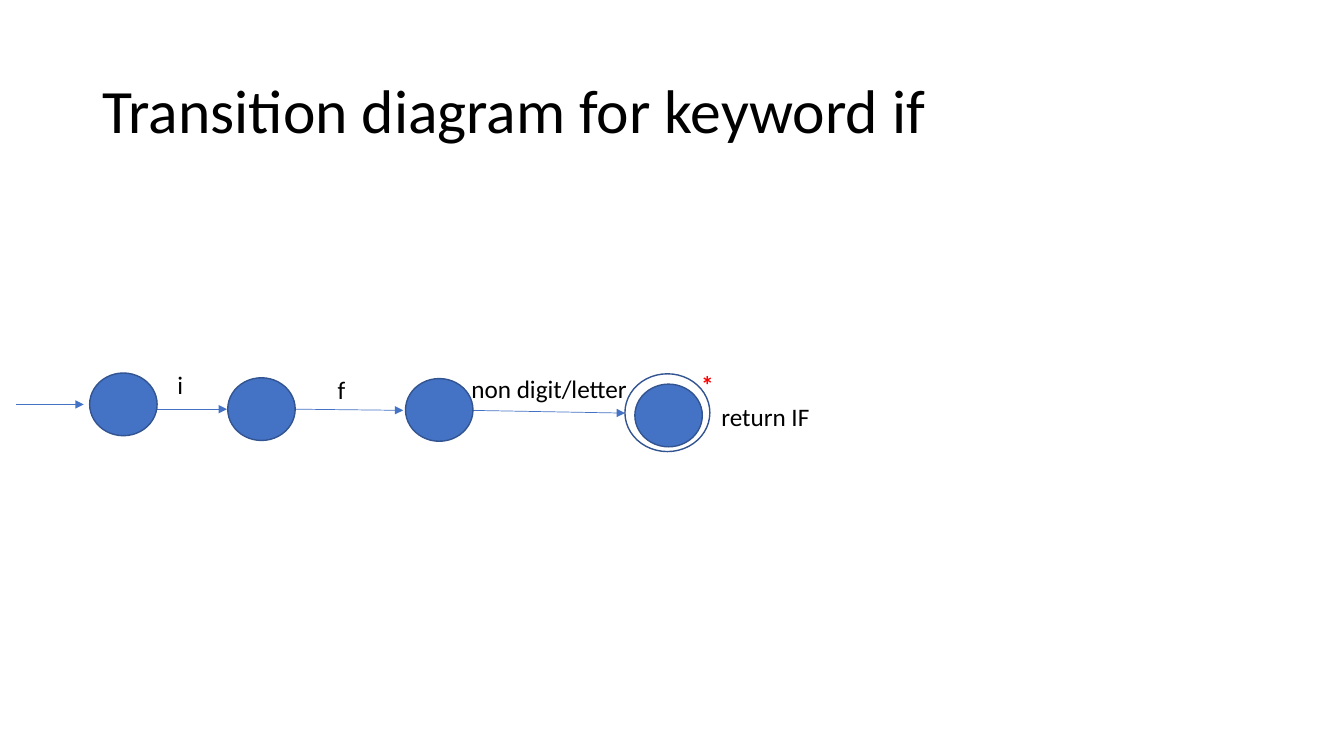
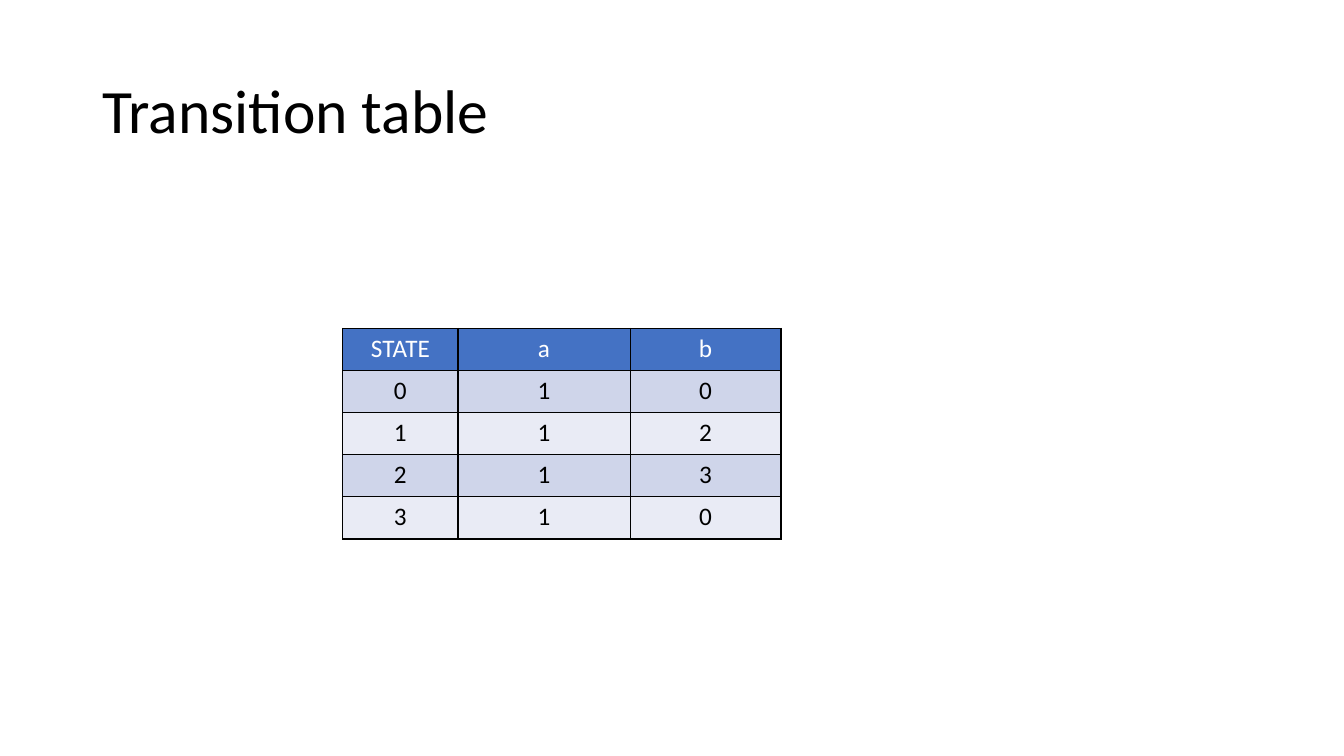
import pptx
import pptx.util
import pptx.dml.color
import pptx.enum.shapes
import pptx.enum.text
import pptx.oxml.ns
import lxml.etree

Cm = pptx.util.Cm
Pt = pptx.util.Pt
RGBColor = pptx.dml.color.RGBColor
qn = pptx.oxml.ns.qn

BLACK = RGBColor(0x00, 0x00, 0x00)
WHITE = RGBColor(0xFF, 0xFF, 0xFF)
RED = RGBColor(0xFF, 0x00, 0x00)
BLUE = RGBColor(0x44, 0x72, 0xC4)
OUTLINE = RGBColor(0x32, 0x54, 0x91)
BAND_DARK = RGBColor(0xCF, 0xD5, 0xEA)
BAND_LIGHT = RGBColor(0xE9, 0xEB, 0xF5)

BODY = {"name": "Calibri", "size": Pt(18), "bold": False}
TITLE = {**BODY, "size": Pt(44)}


def write(para, text, style, color):
    span = para.add_run()
    span.text = text
    for key, value in style.items():
        setattr(span.font, key, value)
    span.font.color.rgb = color


def add_text(page, place, text, style, color=BLACK):
    box = page.shapes.add_textbox(*(Cm(length) for length in place))
    box.text_frame.word_wrap = True
    write(box.text_frame.paragraphs[0], text, style, color)
    return box


deck = pptx.Presentation()
deck.slide_width, deck.slide_height = Cm(33.87), Cm(19.05)

# Pages with their shared title
pages = []
for title in ("Transition diagram for keyword if", "Transition table"):
    page = deck.slides.add_slide(deck.slide_layouts[6])
    box = add_text(page, (2.33, 1.01, 29.21, 3.68), title, TITLE)
    box.text_frame.vertical_anchor = pptx.enum.text.MSO_ANCHOR.MIDDLE
    box.text_frame.paragraphs[0].line_spacing = 0.9
    pages.append(page)
diagram_page, table_page = pages

# Transitions: from x, y to x, y
for ends in (
    (0.41, 10.19, 2.11, 10.19),
    (3.63, 10.31, 5.72, 10.31),
    (7.39, 10.31, 10.16, 10.34),
    (11.84, 10.34, 15.75, 10.41),
):
    arrow = diagram_page.shapes.add_connector(
        pptx.enum.shapes.MSO_CONNECTOR.STRAIGHT, *(Cm(length) for length in ends))
    arrow.line.color.rgb = BLUE
    arrow.line.width = Pt(0.5)
    lxml.etree.SubElement(arrow.line._get_or_add_ln(), qn("a:tailEnd"), type="triangle")
    lxml.etree.SubElement(arrow._element.spPr, qn("a:effectLst"))

# States, then the ring around the accepting one
STATE_SIZE = (1.7, 1.58)
for left, top, size, filled in (
    (2.26, 9.4, STATE_SIZE, True),
    (5.74, 9.52, STATE_SIZE, True),
    (10.22, 9.54, STATE_SIZE, True),
    (16.0, 9.68, STATE_SIZE, True),
    (15.75, 9.42, (2.14, 1.96), False),
):
    state = diagram_page.shapes.add_shape(
        pptx.enum.shapes.MSO_SHAPE.OVAL, Cm(left), Cm(top), *(Cm(length) for length in size))
    state.shadow.inherit = False
    if filled:
        state.fill.solid()
        state.fill.fore_color.rgb = BLUE
    else:
        state.fill.background()
    state.line.color.rgb = OUTLINE
    state.line.width = Pt(1)

# Labels
for left, top, width, text, style, color in (
    (4.22, 9.17, 4.01, "i", BODY, BLACK),
    (8.26, 9.3, 4.01, "f", BODY, BLACK),
    (11.63, 9.27, 5.03, "non digit/letter", BODY, BLACK),
    (17.42, 9.17, 4.01, "*", {**BODY, "bold": True}, RED),
    (17.93, 9.98, 4.47, "return IF", BODY, BLACK),
):
    add_text(diagram_page, (left, top, width, 1.02), text, style, color)

# Transition table
ROWS = (("STATE", "a", "b"), "010", "112", "213", "310")
WIDTHS = (2.9, 4.34, 3.8)
ROW_HEIGHT = 1.06
table = table_page.shapes.add_table(
    len(ROWS), len(WIDTHS), Cm(8.64), Cm(8.28),
    Cm(sum(WIDTHS)), Cm(ROW_HEIGHT * len(ROWS))).table
table.first_row = table.horz_banding = False
for column, width in zip(table.columns, WIDTHS):
    column.width = Cm(width)
for number, values in enumerate(ROWS):
    table.rows[number].height = Cm(ROW_HEIGHT)
    band = BAND_DARK if number % 2 else BAND_LIGHT
    fill, ink = (band, BLACK) if number else (BLUE, WHITE)
    for index, value in enumerate(values):
        cell = table.cell(number, index)
        para = cell.text_frame.paragraphs[0]
        para.alignment = pptx.enum.text.PP_ALIGN.CENTER
        write(para, value, BODY, ink)
        # Borders come before the fill in the cell properties
        properties = cell._tc.get_or_add_tcPr()
        for side in ("a:lnL", "a:lnR", "a:lnT", "a:lnB"):
            border = lxml.etree.SubElement(properties, qn(side), w=str(Pt(1)))
            paint = lxml.etree.SubElement(border, qn("a:solidFill"))
            lxml.etree.SubElement(paint, qn("a:srgbClr"), val=str(BLACK))
        cell.fill.solid()
        cell.fill.fore_color.rgb = fill

deck.save("out.pptx")
